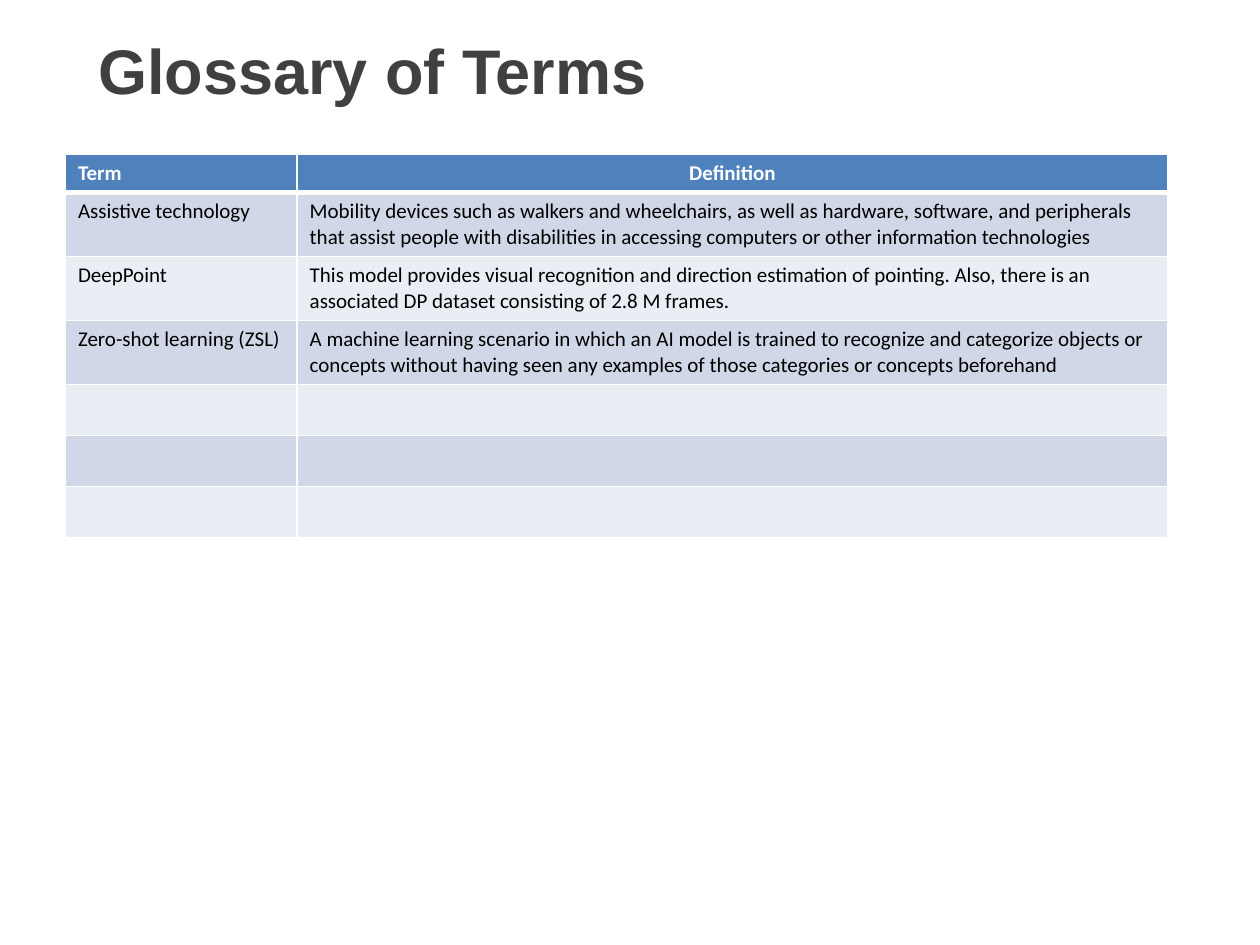
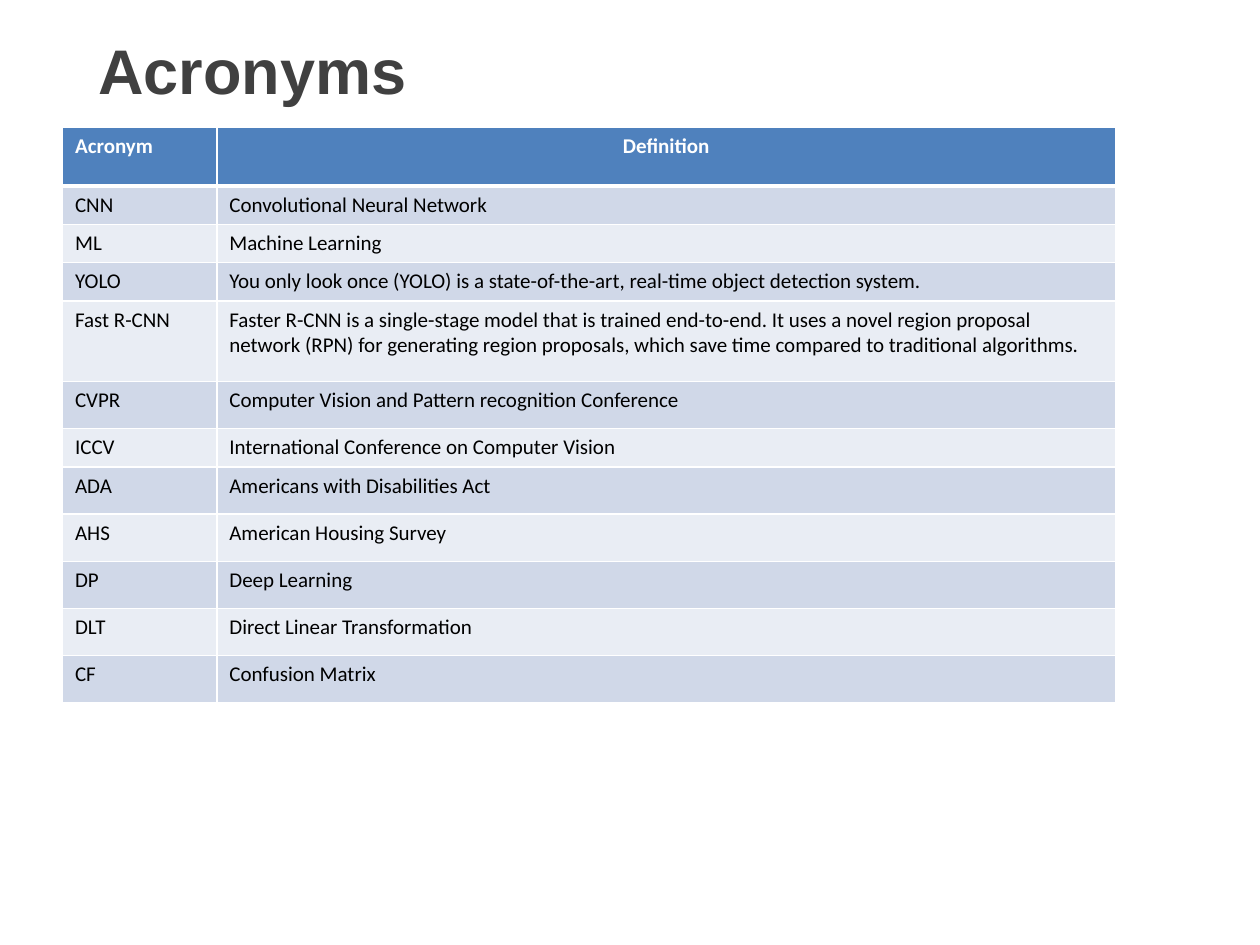
"""Build the glossary and acronym slides."""
from lxml.etree import SubElement
from pptx import Presentation
from pptx.dml.color import RGBColor
from pptx.enum.text import MSO_ANCHOR, MSO_AUTO_SIZE, PP_ALIGN
from pptx.oxml.ns import qn
from pptx.util import Cm, Pt

COLORS = {
    "title": "404040",
    "header": "4F81BD",
    "header_text": "FFFFFF",
    "text": "000000",
    "odd_row": "D0D8E8",
    "even_row": "E9EDF4",
    "border": "FFFFFF",
}

GLOSSARY = [
    ("Term", "Definition"),
    ("Assistive technology",
     "Mobility devices such as walkers and wheelchairs, as well as hardware, software, and "
     "peripherals that assist people with disabilities in accessing computers or other "
     "information technologies"),
    ("DeepPoint",
     "This model provides visual recognition and direction estimation of pointing. Also, there "
     "is an associated DP dataset consisting of 2.8 M frames."),
    ("Zero-shot learning (ZSL)",
     "A machine learning scenario in which an AI model is trained to recognize and categorize "
     "objects or concepts without having seen any examples of those categories or concepts "
     "beforehand"),
] + [("", "")] * 3

ACRONYMS = [
    ("Acronym", "Definition"),
    ("CNN", "Convolutional Neural Network"),
    ("ML", "Machine Learning"),
    ("YOLO", "You only look once (YOLO) is a state-of-the-art, real-time object detection system."),
    ("Fast R-CNN",
     "Faster R-CNN is a single-stage model that is trained end-to-end. It uses a novel region "
     "proposal network (RPN) for generating region proposals, which save time compared to "
     "traditional algorithms."),
    ("CVPR", "Computer Vision and Pattern recognition Conference"),
    ("ICCV", "International Conference on Computer Vision"),
    ("ADA", "Americans with Disabilities Act"),
    ("AHS", "American Housing Survey"),
    ("DP", "Deep Learning"),
    ("DLT", "Direct Linear Transformation"),
    ("CF", "Confusion Matrix"),
]


def rgb(role):
    return RGBColor.from_string(COLORS[role])


def add_run(paragraph, text, font_name, size, role, bold):
    run = paragraph.add_run()
    run.text = text
    run.font.name = font_name
    run.font.size = Pt(size)
    run.font.bold = bold
    run.font.color.rgb = rgb(role)


def add_titled_slide(prs, heading):
    slide = prs.slides.add_slide(prs.slide_layouts[5])
    title = slide.shapes.title
    title.left, title.top, title.width, title.height = Cm(1.73), Cm(0.46), Cm(21.54), Cm(1.73)
    frame = title.text_frame
    frame.auto_size = MSO_AUTO_SIZE.NONE
    frame.vertical_anchor = MSO_ANCHOR.BOTTOM
    frame.margin_bottom = Cm(0.04)
    frame.paragraphs[0].alignment = PP_ALIGN.LEFT
    add_run(frame.paragraphs[0], heading, "Arial", 36, "title", True)
    return slide


def set_borders(cell, top=1, bottom=1):
    properties = cell._tc.get_or_add_tcPr()
    for side, width in (("L", 1), ("R", 1), ("T", top), ("B", bottom)):
        line = SubElement(properties, qn(f"a:ln{side}"), w=str(Pt(width)))
        fill = SubElement(line, qn("a:solidFill"))
        SubElement(fill, qn("a:srgbClr"), val=COLORS["border"])


def format_cell(cell, text, row, column):
    is_header = row == 0
    set_borders(cell, top=3 if row == 1 else 1, bottom=3 if is_header else 1)
    cell.fill.solid()
    band = "odd_row" if row % 2 else "even_row"
    cell.fill.fore_color.rgb = rgb("header" if is_header else band)
    paragraph = cell.text_frame.paragraphs[0]
    if is_header and column == 1:
        paragraph.alignment = PP_ALIGN.CENTER
    if text:
        add_run(paragraph, text, "Calibri", 12, "header_text" if is_header else "text", is_header)


def add_definitions(slide, entries, left, top, widths, heights):
    table = slide.shapes.add_table(
        len(entries), len(widths), Cm(left), Cm(top), Cm(sum(widths)), Cm(sum(heights))
    ).table
    for column, width in zip(table.columns, widths):
        column.width = Cm(width)
    for row, height in zip(table.rows, heights):
        row.height = Cm(height)
    for row, entry in enumerate(entries):
        for column, text in enumerate(entry):
            format_cell(table.cell(row, column), text, row, column)


def main():
    prs = Presentation()
    prs.slide_width, prs.slide_height = Cm(25.4), Cm(19.05)

    glossary = add_titled_slide(prs, "Glossary of Terms")
    add_definitions(glossary, GLOSSARY, 1.32, 3.11, (4.67, 17.55),
                    [0.75] + [1.29] * 3 + [1.03] * 3)

    acronyms = add_titled_slide(prs, "Acronyms")
    add_definitions(acronyms, ACRONYMS, 1.26, 2.57, (3.11, 18.12),
                    [1.18] + [0.77] * 3 + [1.63, 0.95, 0.77] + [0.95] * 5)

    prs.save("out.pptx")


if __name__ == "__main__":
    main()
